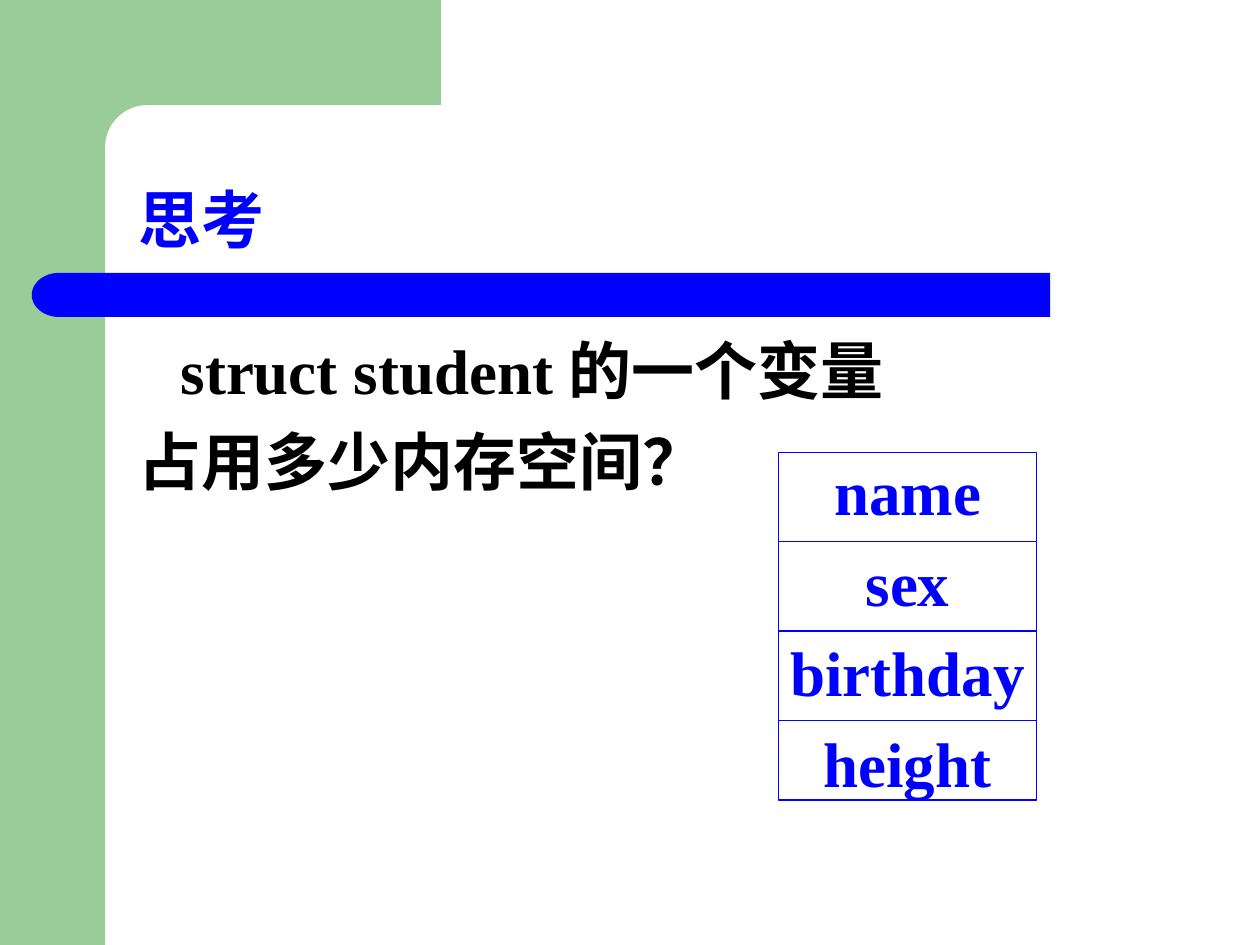
import pptx
import pptx.util
import pptx.dml.color
import pptx.enum.shapes
import pptx.enum.text
import pptx.oxml.ns
import lxml.etree

Cm, Pt = pptx.util.Cm, pptx.util.Pt
SHAPE = pptx.enum.shapes.MSO_SHAPE
ANCHOR = pptx.enum.text.MSO_ANCHOR
GREEN = pptx.dml.color.RGBColor(0x99, 0xCC, 0x99)
BLUE = pptx.dml.color.RGBColor(0x00, 0x00, 0xFF)
BLACK = pptx.dml.color.RGBColor(0x00, 0x00, 0x00)
WHITE = pptx.dml.color.RGBColor(0xFF, 0xFF, 0xFF)
FONT = "Times New Roman"
TEXT_SIZE = Pt(36)
PARAGRAPH_GAP = Pt(8.5)


def add_filled(slide, kind, left, top, width, height, color):
    sp = slide.shapes.add_shape(kind, Cm(left), Cm(top), Cm(width), Cm(height))
    sp.shadow.inherit = False
    sp.fill.solid()
    sp.fill.fore_color.rgb = color
    sp.line.fill.background()
    return sp


def add_run(p, text, color):
    r = p.add_run()
    r.text = text
    r.font.name = FONT
    r.font.size = TEXT_SIZE
    r.font.bold = True
    r.font.color.rgb = color


def add_lines(tf, lines, color, align):
    for i, text in enumerate(lines):
        p = tf.paragraphs[0] if i == 0 else tf.add_paragraph()
        p.alignment = align
        if i:
            p.space_before = PARAGRAPH_GAP
        add_run(p, text, color)


def add_text_box(slide, left, top, width, height, lines, color, anchor):
    s = slide.shapes.add_textbox(Cm(left), Cm(top), Cm(width), Cm(height))
    tf = s.text_frame
    tf.word_wrap = True
    tf.vertical_anchor = anchor
    add_lines(tf, lines, color, pptx.enum.text.PP_ALIGN.LEFT)
    return tf


def add_frame(slide, left, top, width, height):
    """Green side and top bands with a rounded white inner corner."""
    side = 2.12
    add_filled(slide, SHAPE.RECTANGLE, left, top, side, height, GREEN)
    add_filled(slide, SHAPE.RECTANGLE, left + 1.9, top, width - 1.9, 2.96, GREEN)
    corner = add_filled(slide, SHAPE.ROUNDED_RECTANGLE,
                        left + side, top + side, 14.17, 1.7, WHITE)
    corner.adjustments[0] = 0.5


def add_title_bar(slide, left, top, width, height):
    cap = 1.08
    add_filled(slide, SHAPE.RECTANGLE, left + cap, top, width - cap, height, BLUE)
    end = add_filled(slide, SHAPE.FLOWCHART_DELAY, left, top, cap + 0.02, height, BLUE)
    end.rotation = 180


def add_question(slide, left, top, width, height):
    tf = add_text_box(slide, left, top, width, height,
                      ["struct student 的一个变量", "占用多少内存空间？"],
                      BLACK, ANCHOR.TOP)
    pPr = tf.paragraphs[0]._p.get_or_add_pPr()
    pPr.set("marL", str(Cm(0.85)))
    pPr.set("indent", "0")


def add_struct_box(slide, left, top, width, height, fields):
    """Outlined box with one field per row, divided by lines."""
    sp = slide.shapes.add_shape(SHAPE.RECTANGLE, Cm(left), Cm(top), Cm(width), Cm(height))
    sp.shadow.inherit = False
    sp.fill.background()
    sp.line.color.rgb = BLUE
    sp.line.width = Pt(0.75)
    tf = sp.text_frame
    tf.word_wrap = False
    tf.vertical_anchor = ANCHOR.MIDDLE
    add_lines(tf, fields, BLUE, pptx.enum.text.PP_ALIGN.CENTER)
    row = 1.8
    for i in range(1, len(fields)):
        y = Cm(top + i * row)
        line = slide.shapes.add_connector(
            pptx.enum.shapes.MSO_CONNECTOR.STRAIGHT, Cm(left), y, Cm(left + width), y)
        line.line.color.rgb = BLUE
        line.line.width = Pt(0.75)
        lxml.etree.SubElement(line._element.spPr, pptx.oxml.ns.qn("a:effectLst"))


def main():
    prs = pptx.Presentation()
    prs.slide_width, prs.slide_height = Cm(25.4), Cm(19.05)
    slide = prs.slides.add_slide(prs.slide_layouts[6])
    add_frame(slide, 0, 0, 8.89, 19.05)
    add_title_bar(slide, 0.64, 5.5, 20.53, 0.89)
    title = add_text_box(slide, 2.54, 2.12, 22.23, 3.18, ["思考"], BLUE, ANCHOR.BOTTOM)
    title.paragraphs[0].line_spacing = 0.9
    add_question(slide, 2.54, 6.56, 22.23, 10.37)
    add_struct_box(slide, 15.69, 9.12, 5.21, 7.01,
                   ["name", "sex", "birthday", "height"])
    prs.save("out.pptx")


if __name__ == "__main__":
    main()
